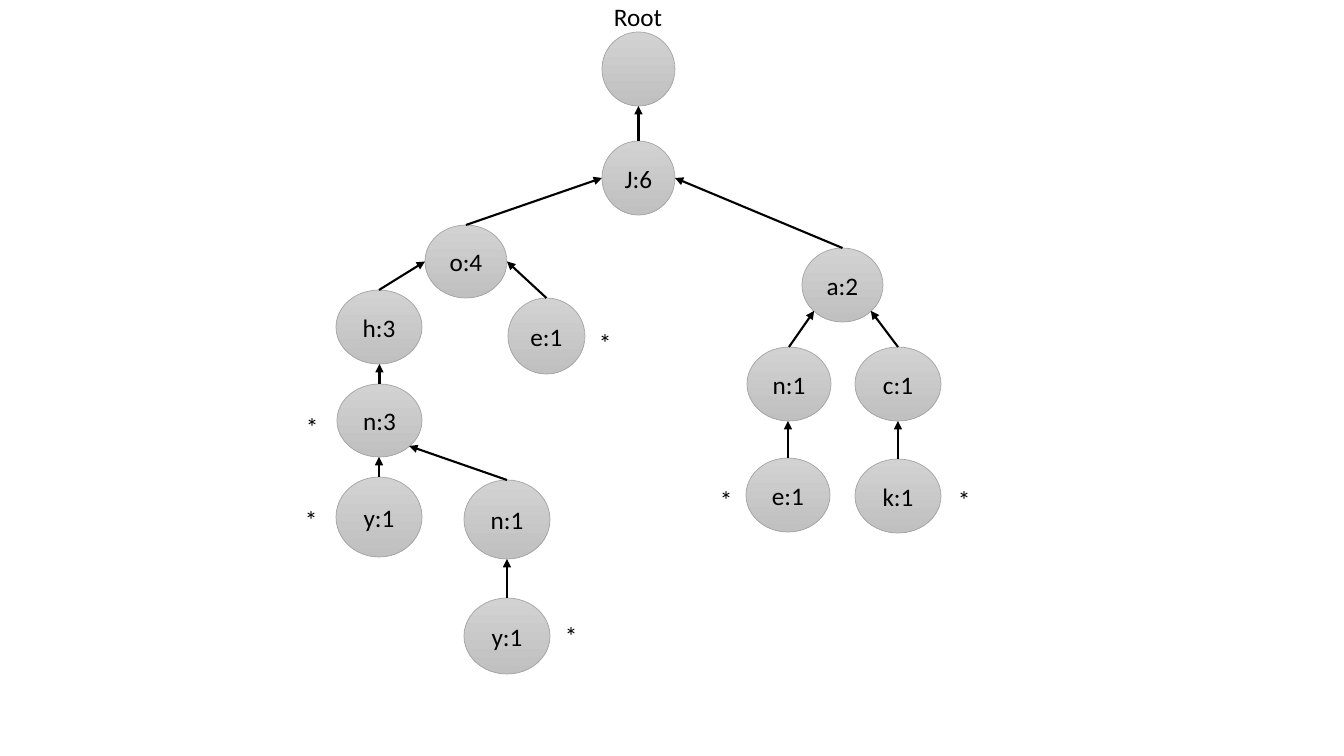
"""Draw a prefix tree of counted letters, with arrows from child to parent."""
from lxml import etree
from pptx import Presentation
from pptx.dml.color import RGBColor
from pptx.enum.shapes import MSO_CONNECTOR, MSO_SHAPE
from pptx.enum.text import MSO_ANCHOR, MSO_AUTO_SIZE, PP_ALIGN
from pptx.oxml.ns import qn
from pptx.util import Pt

PX = 914400 / 100.8
OVAL, LINE = MSO_SHAPE.OVAL, MSO_CONNECTOR.STRAIGHT
LEFT, CENTER = PP_ALIGN.LEFT, PP_ALIGN.CENTER
TOP, MIDDLE = MSO_ANCHOR.TOP, MSO_ANCHOR.MIDDLE
GROW = MSO_AUTO_SIZE.SHAPE_TO_FIT_TEXT
BLACK = RGBColor(0x00, 0x00, 0x00)
LIGHT = RGBColor(0xD2, 0xD2, 0xD2)
DARK = RGBColor(0xC0, 0xC0, 0xC0)
EDGE = RGBColor(0xA5, 0xA5, 0xA5)
BLANK = 6

NODES = {
    "root": ("", 602, 32, 73, 74),
    "j": ("J:6", 602, 141, 73, 74),
    "jo": ("o:4", 425, 225, 82, 73),
    "joe": ("e:1", 508, 298, 77, 76),
    "joh": ("h:3", 336, 290, 86, 74),
    "john": ("n:3", 337, 384, 85, 73),
    "johny": ("y:1", 336, 477, 86, 80),
    "johnn": ("n:1", 464, 480, 86, 79),
    "johnny": ("y:1", 464, 598, 86, 76),
    "ja": ("a:2", 802, 248, 81, 74),
    "jan": ("n:1", 747, 347, 84, 74),
    "jane": ("e:1", 746, 458, 84, 74),
    "jac": ("c:1", 855, 347, 86, 74),
    "jack": ("k:1", 855, 459, 86, 74),
}
SITES = {
    "left": (0, 0.5),
    "right": (1, 0.5),
    "bottom": (0.5, 1),
    "low left": (0.15, 0.85),
    "low right": (0.85, 0.85),
}
EDGES = [
    ("j", "root", "bottom"),
    ("jo", "j", "left"),
    ("ja", "j", "right"),
    ("joh", "jo", "left"),
    ("joe", "jo", "right"),
    ("john", "joh", "bottom"),
    ("johny", "john", "bottom"),
    ("johnn", "john", "low right"),
    ("johnny", "johnn", "bottom"),
    ("jan", "ja", "low left"),
    ("jac", "ja", "low right"),
    ("jane", "jan", "bottom"),
    ("jack", "jac", "bottom"),
]
STARS = [(589, 322), (296, 406), (295, 499), (948, 479), (710, 479), (555, 615)]


def px(*nums):
    """Turn pixel lengths into a list of EMU."""
    return [round(n * PX) for n in nums]


def write(frame, text, size=18, color=BLACK, align=LEFT, anchor=TOP):
    """Put one formatted line of text in a frame."""
    frame.word_wrap = False
    frame.vertical_anchor = anchor
    para = frame.paragraphs[0]
    para.alignment = align
    run = para.add_run()
    run.text = text
    run.font.name = "Calibri"
    run.font.size = Pt(size)
    run.font.color.rgb = color


def node(slide, text, *box):
    """Add a grey tree node."""
    oval = slide.shapes.add_shape(OVAL, *px(*box))
    oval.shadow.inherit = False
    oval.fill.gradient()
    oval.fill.gradient_angle = 270
    for stop, color in zip(oval.fill.gradient_stops, (LIGHT, DARK)):
        stop.color.rgb = color
    oval.line.color.rgb = EDGE
    oval.line.width = Pt(0.5)
    if text:
        write(oval.text_frame, text, align=CENTER, anchor=MIDDLE)
    return oval


def label(slide, text, *box):
    """Add a free text label."""
    frame = slide.shapes.add_textbox(*px(*box)).text_frame
    write(frame, text)
    frame.auto_size = GROW


def arrow(slide, child, parent, site):
    """Add an arrow from the top of a child to a site on its parent."""
    across, down = SITES[site]
    x = round(parent.left + across * parent.width)
    y = round(parent.top + down * parent.height)
    if site == "bottom":
        x = child.left + child.width // 2
    link = slide.shapes.add_connector(LINE, x, y, x, y)
    link.begin_connect(child, 0)
    link.line.color.rgb = BLACK
    link.line.width = Pt(1.5)
    etree.SubElement(link.line._get_or_add_ln(), qn("a:tailEnd"), type="triangle")
    etree.SubElement(link._element.spPr, qn("a:effectLst"))


def main():
    """Build and save the slide."""
    deck = Presentation()
    deck.slide_width, deck.slide_height = px(1344, 756)
    slide = deck.slides.add_slide(deck.slide_layouts[BLANK])
    ovals = {key: node(slide, *spec) for key, spec in NODES.items()}
    for child, parent, site in EDGES:
        arrow(slide, ovals[child], ovals[parent], site)
    label(slide, "Root", 604, -4, 69, 40)
    for x, y in STARS:
        label(slide, "*", x, y, 33, 40)
    deck.save("out.pptx")


if __name__ == "__main__":
    main()
